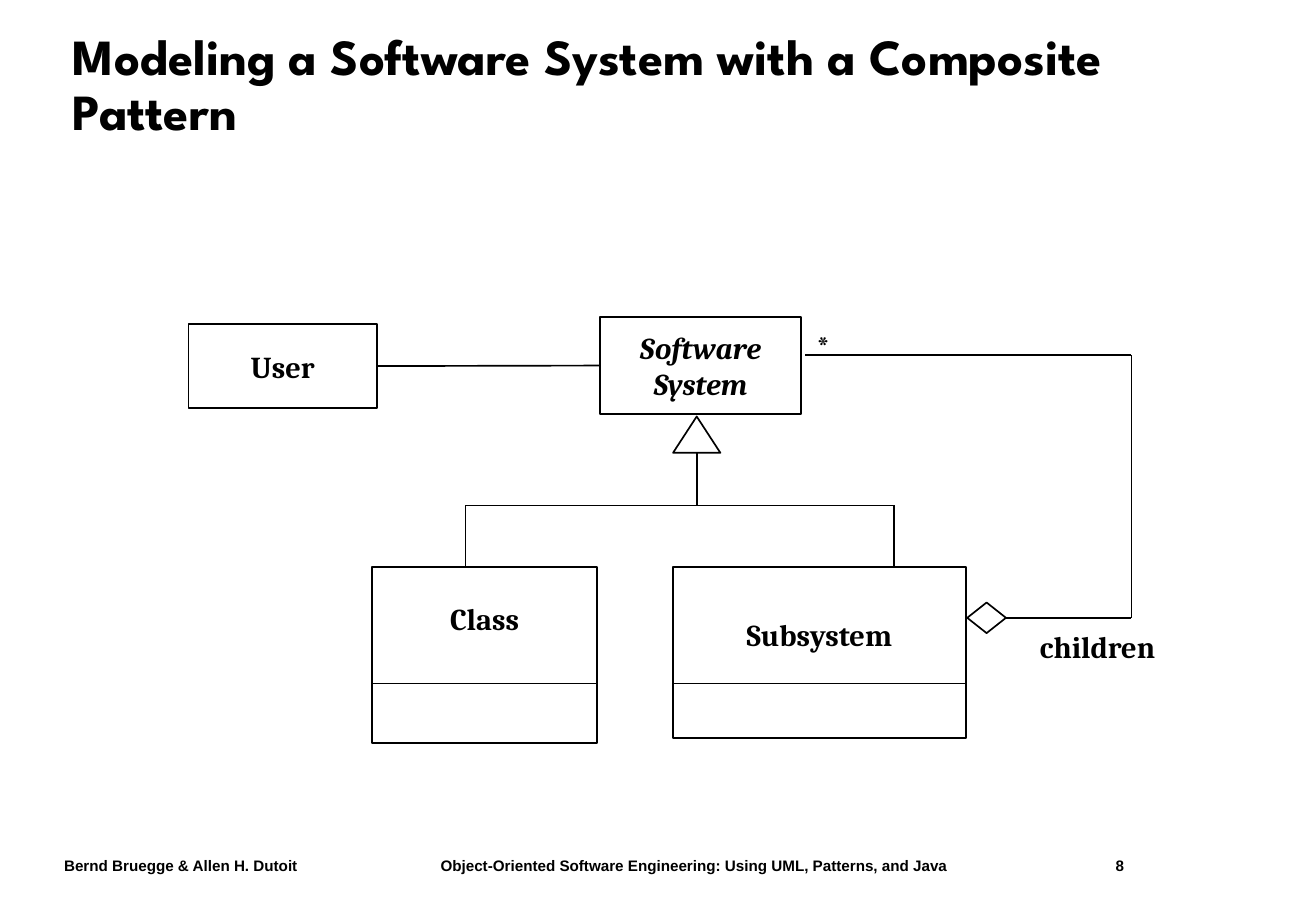
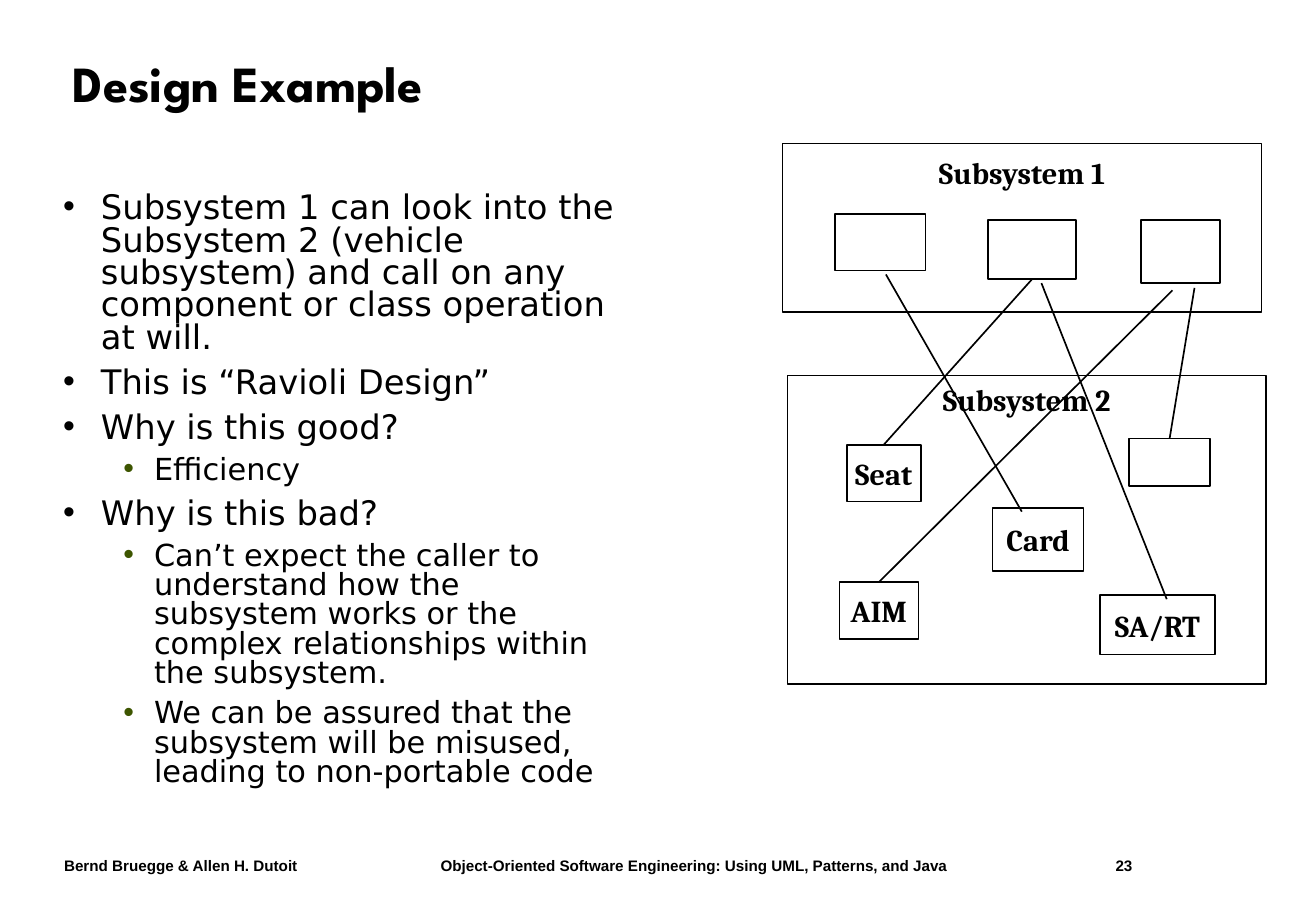
from dataclasses import dataclass
from typing import NamedTuple

from lxml.etree import SubElement
from pptx import Presentation
from pptx.dml.color import RGBColor
from pptx.enum.shapes import MSO_CONNECTOR, MSO_SHAPE
from pptx.enum.text import MSO_ANCHOR, MSO_AUTO_SIZE, PP_ALIGN
from pptx.oxml.ns import qn
from pptx.util import Cm, Pt


@dataclass(frozen=True)
class Theme:
    ink: RGBColor = RGBColor(0x00, 0x00, 0x00)
    paper: RGBColor = RGBColor(0xFF, 0xFF, 0xFF)
    sub_bullet: RGBColor = RGBColor(0x3D, 0x55, 0x00)
    title_font: str = "League Spartan"
    body_font: str = "DejaVu Sans"
    diagram_font: str = "Cambria"
    footer_font: str = "Arial"
    title_size: float = 30
    body_sizes: tuple = (20, 18)
    diagram_size: float = 18
    footer_size: float = 9
    line_width: float = 1


class Box(NamedTuple):
    """Left, top, width and height in centimetres."""
    left: float
    top: float
    width: float
    height: float

    def inside(self, outer):
        return Box(outer.left + self.left, outer.top + self.top, self.width, self.height)

    def lengths(self):
        return [Cm(value) for value in self]


THEME = Theme()
SLIDE_SIZE = (27.51, 19.05)
TITLE_BOX = Box(1.27, 0.61, 24.54, 2.39)
FOOTER_BOX = Box(1.09, 17.78, 25.22, 0.64)
FOOTER_TABS = (7.87, 21.98)
AUTHORS = "Bernd Bruegge & Allen H. Dutoit"
BOOK = "Object-Oriented Software Engineering: Using UML, Patterns, and Java"

# Left margin, hanging indent (cm), space before (pt) and bullet colour by level
LEVELS = (
    (0.79, 0.79, 7.5, THEME.ink),
    (1.9, 0.64, 6.8, THEME.sub_bullet),
)


# ---- Text helpers ----
def set_font(font, name, size, bold=True, italic=False):
    values = {"name": name, "size": Pt(size), "bold": bold, "italic": italic}
    for attribute, value in values.items():
        setattr(font, attribute, value)
    font.color.rgb = THEME.ink


def set_frame(frame, **values):
    values = {"auto_size": MSO_AUTO_SIZE.NONE, "margin_left": Cm(0.25),
              "margin_right": Cm(0.25), "margin_top": Cm(0.13),
              "margin_bottom": Cm(0.13)} | values
    for attribute, value in values.items():
        setattr(frame, attribute, value)


def write_diagram_text(frame, text, alignment, italic=False):
    for index, line in enumerate(text.split("\n")):
        paragraph = frame.add_paragraph() if index else frame.paragraphs[0]
        paragraph.text = line
        paragraph.alignment = alignment
        set_font(paragraph.font, THEME.diagram_font, THEME.diagram_size, italic=italic)


def place(shape, box):
    shape.left, shape.top, shape.width, shape.height = box.lengths()


# ---- Diagram helpers, all relative to an area ----
def add_node(slide, area, box, text="", preset=MSO_SHAPE.RECTANGLE, italic=False,
             text_top=None):
    shape = slide.shapes.add_shape(preset, *box.inside(area).lengths())
    shape.shadow.inherit = False
    shape.fill.solid()
    shape.fill.fore_color.rgb = THEME.paper
    shape.line.color.rgb = THEME.ink
    shape.line.width = Pt(THEME.line_width)
    if text:
        set_frame(shape.text_frame, word_wrap=False, vertical_anchor=MSO_ANCHOR.MIDDLE)
        if text_top is not None:
            set_frame(shape.text_frame, vertical_anchor=MSO_ANCHOR.TOP,
                      margin_top=Cm(text_top))
        write_diagram_text(shape.text_frame, text, PP_ALIGN.CENTER, italic)
    return shape


def add_label(slide, area, box, text):
    label = slide.shapes.add_textbox(*box.inside(area).lengths())
    set_frame(label.text_frame, word_wrap=False)
    write_diagram_text(label.text_frame, text, PP_ALIGN.LEFT)


def add_line(slide, area, start, end):
    """Each end is an (x, y) point in the area or a (shape, side) pair."""
    points = [(0, 0) if hasattr(first, "shape_id")
              else (Cm(area.left + first), Cm(area.top + second))
              for first, second in (start, end)]
    line = slide.shapes.add_connector(MSO_CONNECTOR.STRAIGHT, *points[0], *points[1])
    for (target, side), join in ((start, line.begin_connect), (end, line.end_connect)):
        if hasattr(target, "shape_id"):
            join(target, side)
    line.line.color.rgb = THEME.ink
    line.line.width = Pt(THEME.line_width)
    SubElement(line._element.spPr, qn("a:effectLst"))


# ---- Parts shared by the slides ----
def add_footer(slide, number):
    footer = slide.shapes.add_textbox(*FOOTER_BOX.lengths())
    set_frame(footer.text_frame, word_wrap=True)
    paragraph = footer.text_frame.paragraphs[0]
    tabs = SubElement(paragraph._p.get_or_add_pPr(), qn("a:tabLst"))
    for position in FOOTER_TABS:
        SubElement(tabs, qn("a:tab"), pos=str(Cm(position)), algn="l")
    paragraph.text = f"{AUTHORS}\t{BOOK}\t{number}"
    set_font(paragraph.font, THEME.footer_font, THEME.footer_size)


def add_base_slide(presentation, layout_name, title, number):
    layout = presentation.slide_layouts.get_by_name(layout_name)
    slide = presentation.slides.add_slide(layout)
    place(slide.shapes.title, TITLE_BOX)
    frame = slide.shapes.title.text_frame
    set_frame(frame, vertical_anchor=MSO_ANCHOR.MIDDLE, word_wrap=True)
    paragraph = frame.paragraphs[0]
    paragraph.text = title
    paragraph.alignment = PP_ALIGN.LEFT
    paragraph.line_spacing = 0.9
    set_font(paragraph.font, THEME.title_font, THEME.title_size)
    add_footer(slide, number)
    return slide


def fill_bullets(placeholder, box, items):
    place(placeholder, box)
    frame = placeholder.text_frame
    set_frame(frame, word_wrap=True, vertical_anchor=MSO_ANCHOR.TOP)
    for index, (level, text) in enumerate(items):
        margin, hanging, space_before, bullet_color = LEVELS[level]
        paragraph = frame.add_paragraph() if index else frame.paragraphs[0]
        paragraph.text = text
        paragraph.level = level
        properties = paragraph._p.get_or_add_pPr()
        properties.set("marL", str(Cm(margin)))
        properties.set("indent", str(-Cm(hanging)))
        color = SubElement(properties, qn("a:buClr"))
        SubElement(color, qn("a:srgbClr"), val=str(bullet_color))
        SubElement(properties, qn("a:buFont"), typeface=THEME.footer_font)
        SubElement(properties, qn("a:buChar"), char="•")
        paragraph.alignment = PP_ALIGN.LEFT
        paragraph.line_spacing = 0.8
        paragraph.space_before = Pt(space_before if index else 0)
        set_font(paragraph.font, THEME.body_font, THEME.body_sizes[level], bold=False)


# ---- Composite pattern diagram ----
def add_class_box(slide, area, box, name, text_top):
    add_node(slide, area, box, name, text_top=text_top)
    divider = box.top + 2.43
    add_line(slide, area, (box.left, divider), (box.left + box.width, divider))


def add_composite_diagram(slide, area):
    system = add_node(slide, area, Box(8.61, 0, 4.19, 2.03), "Software\nSystem",
                      italic=True)
    user = add_node(slide, area, Box(0, 0.15, 3.94, 1.75), "User")
    add_line(slide, area, (user, 3), (system, 1))

    add_class_box(slide, area, Box(3.84, 5.23, 4.7, 3.68), "Class", 0.69)
    add_class_box(slide, area, Box(10.13, 5.23, 6.12, 3.58), "Subsystem", 1.02)

    # Inheritance tree
    add_node(slide, area, Box(10.13, 2.08, 0.99, 0.76), preset=MSO_SHAPE.ISOSCELES_TRIANGLE)
    stem, left, right, bar = 10.63, 5.79, 14.75, 3.94
    add_line(slide, area, (stem, 2.84), (stem, bar))
    add_line(slide, area, (left, bar), (right, bar))
    for branch in (left, right):
        add_line(slide, area, (branch, bar), (branch, 5.23))

    # Aggregation loop
    diamond = add_node(slide, area, Box(16.28, 5.97, 0.81, 0.64), preset=MSO_SHAPE.DIAMOND)
    corner, upper, lower = 19.71, 0.79, 6.29
    add_line(slide, area, (diamond, 3), (corner, lower))
    add_line(slide, area, (corner, lower), (corner, upper))
    add_line(slide, area, (corner, upper), (12.88, upper))
    add_label(slide, area, Box(17.55, 6.38, 2.95, 1.02), "children")
    add_label(slide, area, Box(12.88, 0.08, 0.79, 1.02), "*")


# ---- Subsystem call diagram ----
def add_subsystem(slide, area, box, name, text_top, parts):
    add_node(slide, area, box, name, text_top=text_top)
    panel = box.inside(area)
    return [add_node(slide, panel, part, text) for text, part in parts]


def add_call_diagram(slide, area):
    _, middle, _ = add_subsystem(
        slide, area, Box(0, 0, 10.01, 3.53), "Subsystem 1", 0.22, (
            ("", Box(1.09, 1.47, 1.9, 1.19)),
            ("", Box(4.29, 1.6, 1.85, 1.24)),
            ("", Box(7.49, 1.6, 1.65, 1.32))))
    seat, aim, unnamed, _, _ = add_subsystem(
        slide, area, Box(0.1, 4.85, 10.01, 6.45), "Subsystem 2", 0.13, (
            ("Seat", Box(1.24, 1.45, 1.55, 1.19)),
            ("AIM", Box(1.09, 4.32, 1.65, 1.19)),
            ("", Box(7.14, 1.32, 1.7, 0.99)),
            ("Card", Box(4.29, 2.77, 1.9, 1.32)),
            ("SA/RT", Box(6.53, 4.6, 2.41, 1.24))))
    calls = (
        ((2.16, 2.74), (5, 7.7)),
        ((middle, 2), (seat, 0)),
        ((8.15, 3.07), (aim, 0)),
        ((8.61, 3.02), (unnamed, 0)),
        ((5.41, 2.92), (8.03, 9.53)),
    )
    for start, end in calls:
        add_line(slide, area, start, end)


# ---- Slides ----
def add_composite_slide(presentation):
    slide = add_base_slide(presentation, "Title Only",
                           "Modeling a Software System with a Composite Pattern", 8)
    add_composite_diagram(slide, Box(3.94, 6.63, 20.5, 8.91))


def add_design_slide(presentation):
    slide = add_base_slide(presentation, "Title and Content", "Design Example", 23)
    fill_bullets(slide.placeholders[1], Box(1.07, 3.92, 12.19, 12.48), (
        (0, "Subsystem 1 can look into the Subsystem 2 (vehicle subsystem) and call on "
            "any component or class operation at will."),
        (0, "This is “Ravioli Design”"),
        (0, "Why is this good?"),
        (1, "Efficiency"),
        (0, "Why is this bad?"),
        (1, "Can’t expect the caller to understand how the subsystem works or the "
            "complex relationships within the subsystem."),
        (1, "We can be assured that the subsystem will be misused, leading to "
            "non-portable code"),
    ))
    add_call_diagram(slide, Box(16.36, 3, 10.11, 11.3))


def main():
    presentation = Presentation()
    presentation.slide_width, presentation.slide_height = map(Cm, SLIDE_SIZE)
    add_composite_slide(presentation)
    add_design_slide(presentation)
    presentation.save("out.pptx")


if __name__ == "__main__":
    main()
